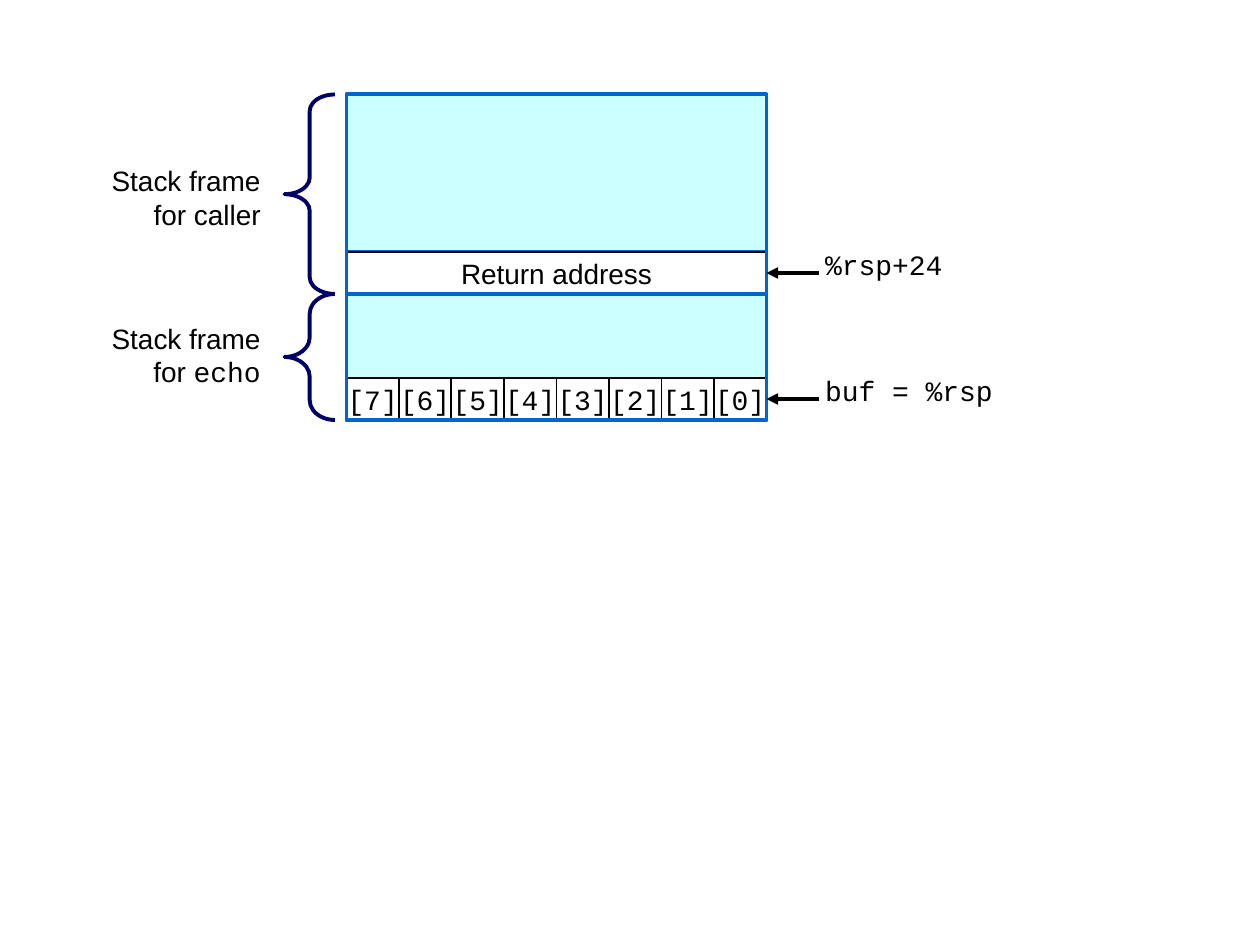
from dataclasses import dataclass
from typing import NamedTuple, Optional

from lxml.etree import SubElement
from pptx import Presentation
from pptx.dml.color import RGBColor
from pptx.enum.shapes import MSO_CONNECTOR as Connector, MSO_SHAPE as Shape
from pptx.enum.text import MSO_ANCHOR as Anchor, MSO_AUTO_SIZE as AutoSize, PP_ALIGN as Align
from pptx.oxml.ns import qn
from pptx.shapes.autoshape import Shape as AutoShape
from pptx.slide import Slide
from pptx.util import Inches, Pt


@dataclass(frozen=True)
class Theme:
    """Colours, fonts and sizes of the slide."""
    ink: RGBColor = RGBColor(0, 0, 0)
    paper: RGBColor = RGBColor(0xFF, 0xFF, 0xFF)
    stack: RGBColor = RGBColor(0xCC, 0xFF, 0xFF)
    frame: RGBColor = RGBColor(0x00, 0x66, 0xCC)
    brace: RGBColor = RGBColor(0x00, 0x00, 0x66)
    prose: str = "Arial"
    code: str = "Courier New"
    text_size: Pt = Pt(16)
    thin: Pt = Pt(1)
    thick: Pt = Pt(2.25)


class Area(NamedTuple):
    """A rectangle in grid units."""
    column: float
    row: float
    columns: float
    rows: float

    def lengths(self) -> list[int]:
        """Return left, top, width and height as slide lengths."""
        return [grid(value) for value in self]


class Words(NamedTuple):
    """A piece of text in one font."""
    text: str
    font: str


class StackFrame(NamedTuple):
    """A stack frame with its brace and its label."""
    area: Area
    brace_bend: float
    label_row: float
    label: list[list[Words]]


class Pointer(NamedTuple):
    """An address label whose arrow points at a stack slot."""
    address: str
    row: float
    columns: float
    slot: AutoShape


THEME = Theme()
UNITS_PER_INCH = 12
STACK_LEFT, STACK_WIDTH = 33, 40
RETURN_ROW, ECHO_ROW, BUFFER_ROW, SLOT_HEIGHT = 24, 28, 36, 4
BUFFER_BYTES = 8
BRACE_LEFT, BRACE_WIDTH = 27.1, 4.8
LABEL_LEFT, LABEL_WIDTH, LABEL_HEIGHT = 4, 22, 7.7
ADDRESS_LEFT, ADDRESS_HEIGHT, ARROW_START = 77.4, 4.4, 78


def grid(units: float) -> int:
    """Turn grid units into a slide length."""
    return Inches(units / UNITS_PER_INCH)


def write(shape: AutoShape, lines: list[list[Words]], align: Align) -> None:
    """Fill a shape with lines of formatted text."""
    text_frame = shape.text_frame
    for index, line in enumerate(lines):
        paragraph = text_frame.add_paragraph() if index else text_frame.paragraphs[0]
        paragraph.alignment = align
        for words in line:
            run = paragraph.add_run()
            run.text = words.text
            run.font.name = words.font
            run.font.size = THEME.text_size
            run.font.color.rgb = THEME.ink


def draw_shape(slide: Slide, kind: Shape, area: Area, line: RGBColor,
               width: Pt, fill: Optional[RGBColor] = None) -> AutoShape:
    """Draw an outlined shape, filled when a fill is given."""
    shape = slide.shapes.add_shape(kind, *area.lengths())
    shape.shadow.inherit = False
    shape.line.color.rgb = line
    shape.line.width = width
    if fill is None:
        shape.fill.background()
    else:
        shape.fill.solid()
        shape.fill.fore_color.rgb = fill
    return shape


def draw_slot(slide: Slide, area: Area, words: Words) -> AutoShape:
    """Draw a white stack slot with centred text."""
    slot = draw_shape(slide, Shape.RECTANGLE, area, THEME.ink, THEME.thin, THEME.paper)
    slot.text_frame.word_wrap = False
    slot.text_frame.vertical_anchor = Anchor.MIDDLE
    write(slot, [[words]], Align.CENTER)
    return slot


def draw_text(slide: Slide, area: Area, lines: list[list[Words]],
              align: Align, wrap: bool) -> None:
    """Place a text box that grows with its text."""
    box = slide.shapes.add_textbox(*area.lengths())
    box.text_frame.word_wrap = wrap
    box.text_frame.auto_size = AutoSize.SHAPE_TO_FIT_TEXT
    write(box, lines, align)


def draw_brace(slide: Slide, frame: StackFrame) -> None:
    """Draw the brace and the label to the left of a stack frame."""
    area = Area(BRACE_LEFT, frame.area.row, BRACE_WIDTH, frame.area.rows)
    brace = draw_shape(slide, Shape.LEFT_BRACE, area, THEME.brace, THEME.thick)
    brace.adjustments[0] = frame.brace_bend
    label_area = Area(LABEL_LEFT, frame.label_row, LABEL_WIDTH, LABEL_HEIGHT)
    draw_text(slide, label_area, frame.label, Align.RIGHT, True)


def draw_pointer(slide: Slide, pointer: Pointer) -> None:
    """Draw an address and the arrow from it to the side of its slot."""
    slot = pointer.slot
    middle = slot.top + slot.height // 2
    arrow = slide.shapes.add_connector(
        Connector.STRAIGHT, grid(ARROW_START), middle, slot.left + slot.width, middle)
    arrow.end_connect(slot, 3)
    arrow.line.color.rgb = THEME.ink
    arrow.line.width = THEME.thick
    SubElement(arrow.line._get_or_add_ln(), qn("a:tailEnd"), type="triangle")
    SubElement(arrow._element.spPr, qn("a:effectLst"))
    area = Area(ADDRESS_LEFT, pointer.row, pointer.columns, ADDRESS_HEIGHT)
    draw_text(slide, area, [[Words(pointer.address, THEME.code)]], Align.LEFT, False)


def main() -> None:
    """Build the slide and save it."""
    deck = Presentation()
    deck.slide_width, deck.slide_height = Inches(10), Inches(7.5)
    slide = deck.slides.add_slide(deck.slide_layouts[6])

    heading = [Words("Stack frame", THEME.prose)]
    frames = [
        StackFrame(Area(STACK_LEFT, 9, STACK_WIDTH, 19), 0.33, 15,
                   [heading, [Words("for caller", THEME.prose)]]),
        StackFrame(Area(STACK_LEFT, ECHO_ROW, STACK_WIDTH, 12), 0.39, 30,
                   [heading, [Words("for ", THEME.prose), Words("echo", THEME.code)]]),
    ]
    caller, echo = (frame.area for frame in frames)
    for area in (echo, caller._replace(rows=RETURN_ROW - caller.row)):
        draw_shape(slide, Shape.RECTANGLE, area, THEME.frame, THEME.thick, THEME.stack)

    return_slot = draw_slot(slide, Area(STACK_LEFT, RETURN_ROW, STACK_WIDTH, SLOT_HEIGHT),
                            Words("Return address", THEME.prose))
    byte_width = STACK_WIDTH / BUFFER_BYTES
    buffer_slots = [
        draw_slot(slide, Area(STACK_LEFT + place * byte_width, BUFFER_ROW, byte_width, SLOT_HEIGHT),
                  Words(f"[{BUFFER_BYTES - 1 - place}]", THEME.code))
        for place in range(BUFFER_BYTES)
    ]

    for frame in frames:
        draw_brace(slide, frame)
        draw_shape(slide, Shape.RECTANGLE, frame.area, THEME.frame, THEME.thick)

    for pointer in (Pointer("%rsp+24", 23, 13.7, return_slot),
                    Pointer("buf = %rsp", 35, 18.6, buffer_slots[-1])):
        draw_pointer(slide, pointer)

    deck.save("out.pptx")


if __name__ == "__main__":
    main()
